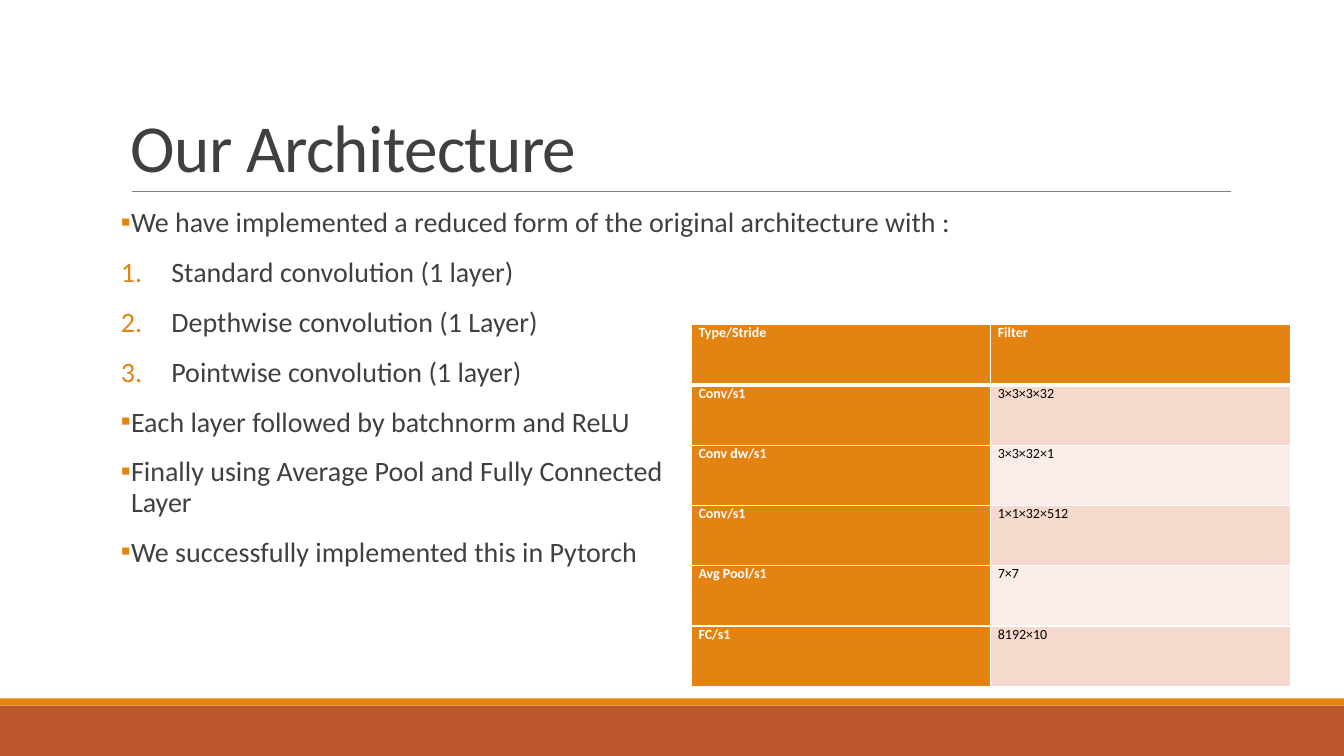
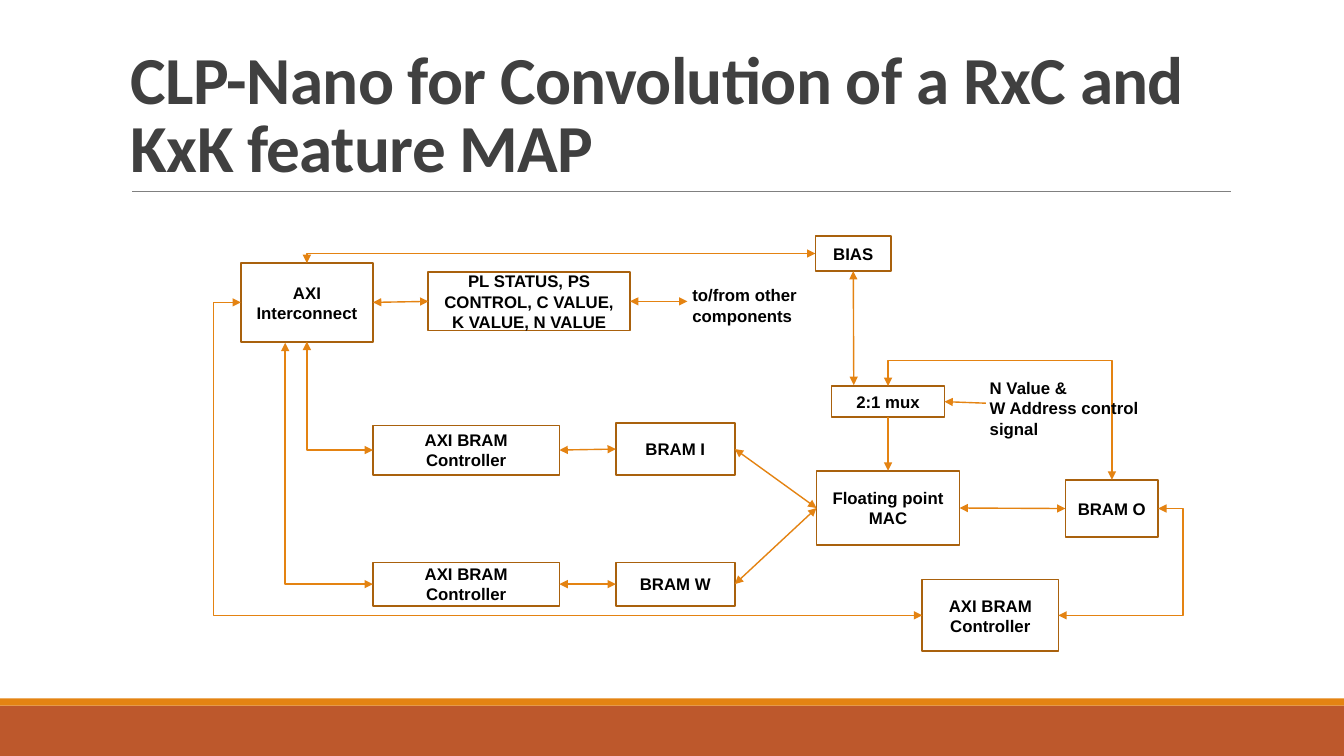
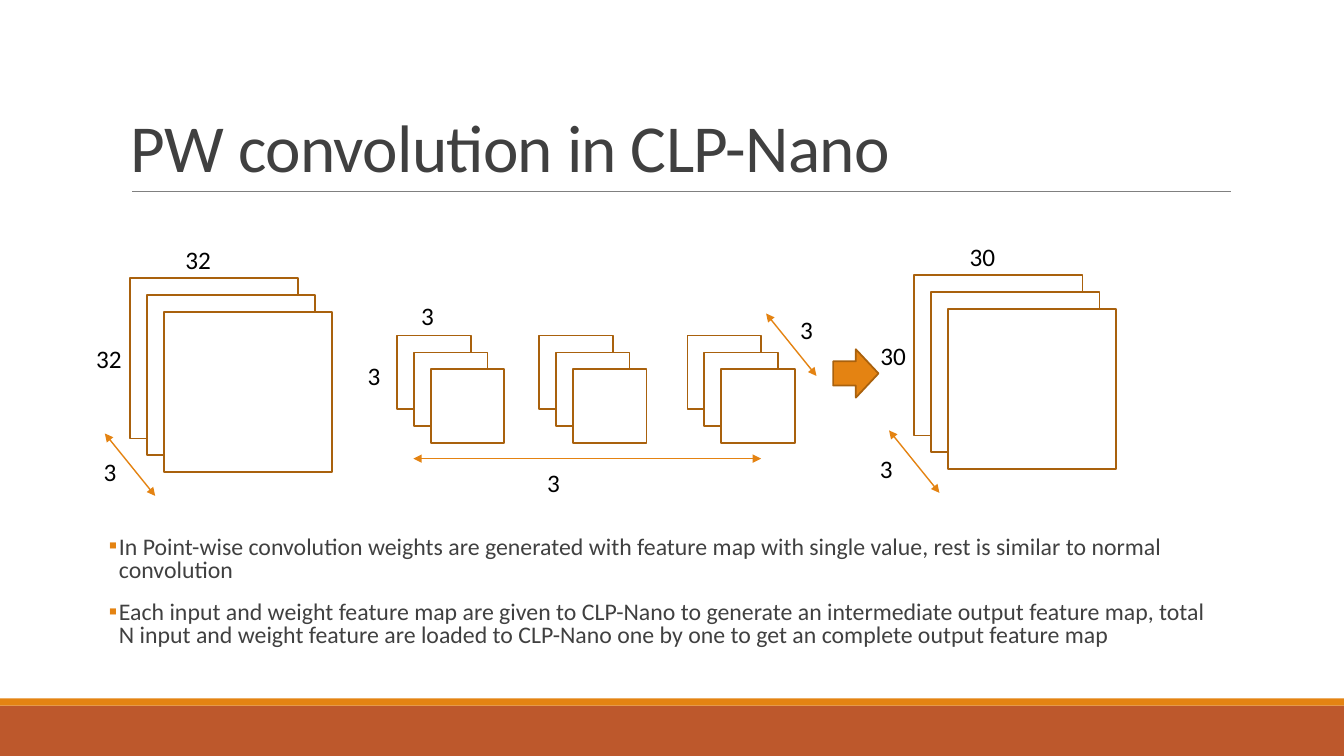
from dataclasses import dataclass
from lxml import etree
from pptx import Presentation
from pptx.dml.color import RGBColor
from pptx.enum import shapes as kinds, text as txt
from pptx.oxml.ns import qn
from pptx.util import Inches, Pt


@dataclass(frozen=True)
class Theme:
    ink: str = "404040"
    black: str = "000000"
    white: str = "FFFFFF"
    main: str = "E48312"
    edge: str = "A9610D"
    base: str = "BD582C"
    rule: str = "808080"
    tints: tuple = ("FAEDE7", "F5D9CC")
    face: str = "Calibri"
    plain: str = "Arial"
    title: int = 48
    body: int = 20
    note: int = 17
    label: int = 18
    box: int = 12
    cell: int = 10


T = Theme()
CELL = 0.1
WIDE, HIGH = 133.33, 75
TOP, LEFT, BOTTOM, RIGHT = range(4)


def grid(*vals):
    return [Inches(v * CELL) for v in vals]


def tint(code):
    return RGBColor.from_string(code)


def put(item, **vals):
    for name, val in vals.items():
        setattr(item, name, val)


def node(owner, tag, **vals):
    item = etree.SubElement(owner, qn(tag))
    for name, val in vals.items():
        item.set(name, str(val))
    return item


def paint(fill, code):
    if code:
        fill.solid()
        fill.fore_color.rgb = tint(code)
    else:
        fill.background()


def style(run, size, color, face=T.face, bold=False):
    put(run.font, size=Pt(size), name=face, bold=bold)
    run.font.color.rgb = tint(color)


def write(frame, lines, look, **form):
    frame.word_wrap = True
    for num, line in enumerate(lines):
        para = frame.paragraphs[0] if num == 0 else frame.add_paragraph()
        para.text = line
        put(para, **form)
        for run in para.runs:
            style(run, **look)
    return frame


def label(slide, spot, lines, look, **form):
    return write(slide.shapes.add_textbox(*grid(*spot)).text_frame, lines, look, **form)


def shape(slide, spot, fill=None, edge=T.edge, kind=kinds.MSO_SHAPE.RECTANGLE):
    item = slide.shapes.add_shape(kind, *grid(*spot))
    item.shadow.inherit = False
    paint(item.fill, fill)
    paint(item.line.fill, edge)
    if edge:
        item.line.width = Pt(1.25)
    return item


def block(slide, spot, words):
    item = shape(slide, spot)
    item.text_frame.vertical_anchor = txt.MSO_ANCHOR.MIDDLE
    write(item.text_frame, [words], dict(size=T.box, color=T.black, face=T.plain, bold=True),
          alignment=txt.PP_ALIGN.CENTER)
    return item


def point(end):
    item, side = end
    if not hasattr(item, "shape_id"):
        return grid(*end)
    across = {LEFT: 0, RIGHT: 1}.get(side, 0.5)
    down = {TOP: 0, BOTTOM: 1}.get(side, 0.5)
    return int(item.left + item.width * across), int(item.top + item.height * down)


def link(slide, start, stop, bend=None, adj=None, turn=False, ends=("head", "tail"),
         color=T.main, width=1):
    kind = kinds.MSO_CONNECTOR.ELBOW if bend else kinds.MSO_CONNECTOR.STRAIGHT
    (ax, ay), (bx, by) = point(start), point(stop)
    wire = slide.shapes.add_connector(kind, ax, ay, bx, by)
    for end, join in ((start, wire.begin_connect), (stop, wire.end_connect)):
        if hasattr(end[0], "shape_id"):
            join(*end)
    props = wire._element.spPr
    if turn:
        mx, my, dx, dy = (ax + bx) // 2, (ay + by) // 2, (bx - ax) // 2, (by - ay) // 2
        put(wire, begin_x=mx + dy, begin_y=my - dx, end_x=mx - dy, end_y=my + dx)
        props.find(qn("a:xfrm")).set("rot", str(270 * 60000))
    if bend:
        geom = props.find(qn("a:prstGeom"))
        geom.set("prst", f"bentConnector{bend}")
        if adj:
            node(geom.find(qn("a:avLst")), "a:gd", name="adj1", fmla=f"val {int(adj * 100000)}")
    wire.line.color.rgb = tint(color)
    wire.line.width = Pt(width)
    for end in ends:
        node(props.find(qn("a:ln")), f"a:{end}End", type="triangle")
    node(props, "a:effectLst")


def bullets(slide, spot, items, size, space):
    frame = label(slide, spot, [words for words, _ in items], dict(size=size, color=T.ink),
                  line_spacing=space, space_before=Pt(12), space_after=Pt(2))
    put(frame, margin_left=0, margin_right=0)
    for para, (_, count) in zip(frame.paragraphs, items):
        props = para._p.get_or_add_pPr()
        inset = Inches(0.5 if count else 0.1)
        props.set("marL", str(inset))
        props.set("indent", str(-inset))
        node(node(props, "a:buClr"), "a:srgbClr", val=T.main)
        node(props, "a:buFont", typeface=T.face)
        if count:
            node(props, "a:buAutoNum", type="arabicPeriod")
        else:
            node(props, "a:buChar", char="▪")


def table(slide, spot, rows):
    chart = slide.shapes.add_table(len(rows), len(rows[0]), *grid(*spot)).table
    for r, row in enumerate(rows):
        for c, words in enumerate(row):
            cell = chart.cell(r, c)
            head = r == 0 or c == 0
            put(cell, margin_left=Inches(0.07), margin_right=Inches(0.07),
                margin_top=0, margin_bottom=0)
            props = cell._tc.get_or_add_tcPr()
            for side in "LRTB":
                thick = (r, side) in ((0, "B"), (1, "T"))
                line = node(props, f"a:ln{side}", w=Pt(3 if thick else 1))
                node(node(line, "a:solidFill"), "a:srgbClr", val=T.white)
            paint(cell.fill, T.main if head else T.tints[r % 2])
            write(cell.text_frame, [words],
                  dict(size=T.cell, color=T.white if head else T.black, bold=head),
                  alignment=txt.PP_ALIGN.JUSTIFY)


def page(deck, title, bold=False):
    slide = deck.slides.add_slide(deck.slide_layouts[6])
    shape(slide, (0, 70, WIDE, 5), T.base, None)
    shape(slide, (0, 69.3, WIDE, 0.7), T.main, None)
    link(slide, (13.1, 19), (122.1, 19), ends=(), color=T.rule, width=0.5)
    frame = label(slide, (12, 3.1, 110, 15.9), [title],
                  dict(size=T.title, color=T.ink, bold=bold), line_spacing=0.85)
    frame.vertical_anchor = txt.MSO_ANCHOR.BOTTOM
    for run in frame.paragraphs[0].runs:
        run._r.get_or_add_rPr().set("spc", "-50")
    return slide


def layers(deck):
    slide = page(deck, "Our Architecture")
    bullets(slide, (12, 20.2, 110, 44), [
        ("We have implemented a reduced form of the original architecture with :", False),
        ("Standard convolution (1 layer)", True),
        ("Depthwise convolution (1 Layer)", True),
        ("Pointwise convolution (1 layer)", True),
        ("Each layer followed by batchnorm and ReLU", False),
        ("Finally using Average Pool and Fully Connected \vLayer", False),
        ("We successfully implemented this in Pytorch", False),
    ], T.body, 0.9)
    table(slide, (68.6, 32.2, 59.4, 35.9), [
        ("Type/Stride", "Filter"),
        ("Conv/s1", "3×3×3×32"),
        ("Conv dw/s1", "3×3×32×1"),
        ("Conv/s1", "1×1×32×512"),
        ("Avg Pool/s1", "7×7"),
        ("FC/s1", "8192×10"),
    ])


def circuit(deck):
    slide = page(deck, "CLP-Nano for Convolution of a RxC and KxK feature MAP", True)
    driver = "AXI BRAM Controller"
    hub, in_ctl, in_ram, w_ctl, w_ram, mac, out_ctl, out_ram, bias, state, mux = [
        block(slide, spot, words) for spot, words in (
            ((23.9, 26.1, 13.1, 7.8), "AXI Interconnect"),
            ((37, 42.2, 18.5, 4.9), driver),
            ((61.1, 42, 11.8, 5.1), "BRAM I"),
            ((37, 55.8, 18.5, 4.3), driver),
            ((61.1, 55.8, 11.8, 4.3), "BRAM W"),
            ((81, 46.7, 14.2, 7.4), "Floating point MAC"),
            ((91.5, 57.5, 13.5, 7.1), driver),
            ((105.7, 47.6, 9.2, 5.7), "BRAM O"),
            ((80.9, 23.4, 7.5, 3.5), "BIAS"),
            ((42.5, 27, 20, 5.8), "PL STATUS, PS CONTROL, C VALUE, K VALUE, N VALUE"),
            ((82.5, 38.3, 11.2, 3.1), "2:1 mux"),
        )]
    for start, stop in (
        (in_ctl, in_ram), (w_ctl, w_ram), (in_ram, mac), (w_ram, mac),
        (mac, out_ram), (hub, state),
    ):
        link(slide, (start, RIGHT), (stop, LEFT))
    link(slide, (bias, BOTTOM), (84.7, 38.2))
    link(slide, (state, RIGHT), (68.2, 29.9))
    link(slide, (97.8, 40), (mux, RIGHT), ends=("tail",))
    link(slide, (mux, BOTTOM), (mac, TOP), ends=("tail",))
    link(slide, (in_ctl, LEFT), (hub, BOTTOM), bend=2)
    link(slide, (w_ctl, LEFT), (28.3, 34), bend=2)
    link(slide, (bias, LEFT), (hub, TOP), bend=2)
    link(slide, (out_ctl, LEFT), (hub, LEFT), bend=3, adj=1.04)
    link(slide, (out_ram, RIGHT), (out_ctl, RIGHT), bend=3, adj=-0.25)
    link(slide, (mux, TOP), (out_ram, TOP), bend=3, adj=-0.27, turn=True)
    look = dict(size=T.box, color=T.black, face=T.plain, bold=True)
    label(slide, (67.7, 27.8, 17.5, 5), ["to/from other components "], look)
    label(slide, (97.2, 37, 17.2, 7.1), ["N Value & ", "W Address control signal"], look)


def stack(slide, x, y, wide, high):
    for step in range(3):
        shape(slide, (x + step * 1.67, y + step * 1.67, wide, high), T.white)


def mark(slide, x, y, words):
    label(slide, (x, y, 12, 4), [words], dict(size=T.label, color=T.black))


def depth(slide, x, y):
    link(slide, (x, y), (x + 5, y + 6.2))


def volume(slide, x, y, size, inset):
    stack(slide, x, y, 16.7, 15.9)
    depth(slide, x - 2.5, y + 15.4)
    mark(slide, x - inset, y + 17.2, "3")
    mark(slide, x - 4.35, y + 5.95, size)
    mark(slide, x + 4.5, y - 3.9, size)


def pointwise(deck):
    slide = page(deck, "PW convolution in CLP-Nano")
    volume(slide, 12.9, 27.6, "32", 3.6)
    volume(slide, 90.7, 27.3, "30", 4.4)
    for x in (39.4, 53.5, 68.2):
        stack(slide, x, 33.3, 7.3, 7.3)
    link(slide, (41, 45.5), (75.5, 45.5))
    depth(slide, 76, 31.1)
    for x, y in ((53.3, 45.9), (35.5, 35.3), (40.8, 29.3), (78.4, 30.7)):
        mark(slide, x, y, "3")
    arrow = shape(slide, (82.5, 34.8, 4.8, 4.5), T.main, kind=kinds.MSO_SHAPE.UP_ARROW)
    arrow.rotation = 90
    bullets(slide, (10.8, 52.8, 110, 13.2), [
        ("In Point-wise convolution weights are generated with feature map with single value, "
         "rest is similar to normal convolution", False),
        ("Each input and weight feature map are given to CLP-Nano to generate an intermediate "
         "output feature map, total N input and weight feature are loaded to CLP-Nano one by "
         "one to get an complete output feature map", False),
    ], T.note, 0.8)


def main():
    deck = Presentation()
    deck.slide_width, deck.slide_height = grid(WIDE, HIGH)
    for build in (layers, circuit, pointwise):
        build(deck)
    deck.save("out.pptx")


main()
